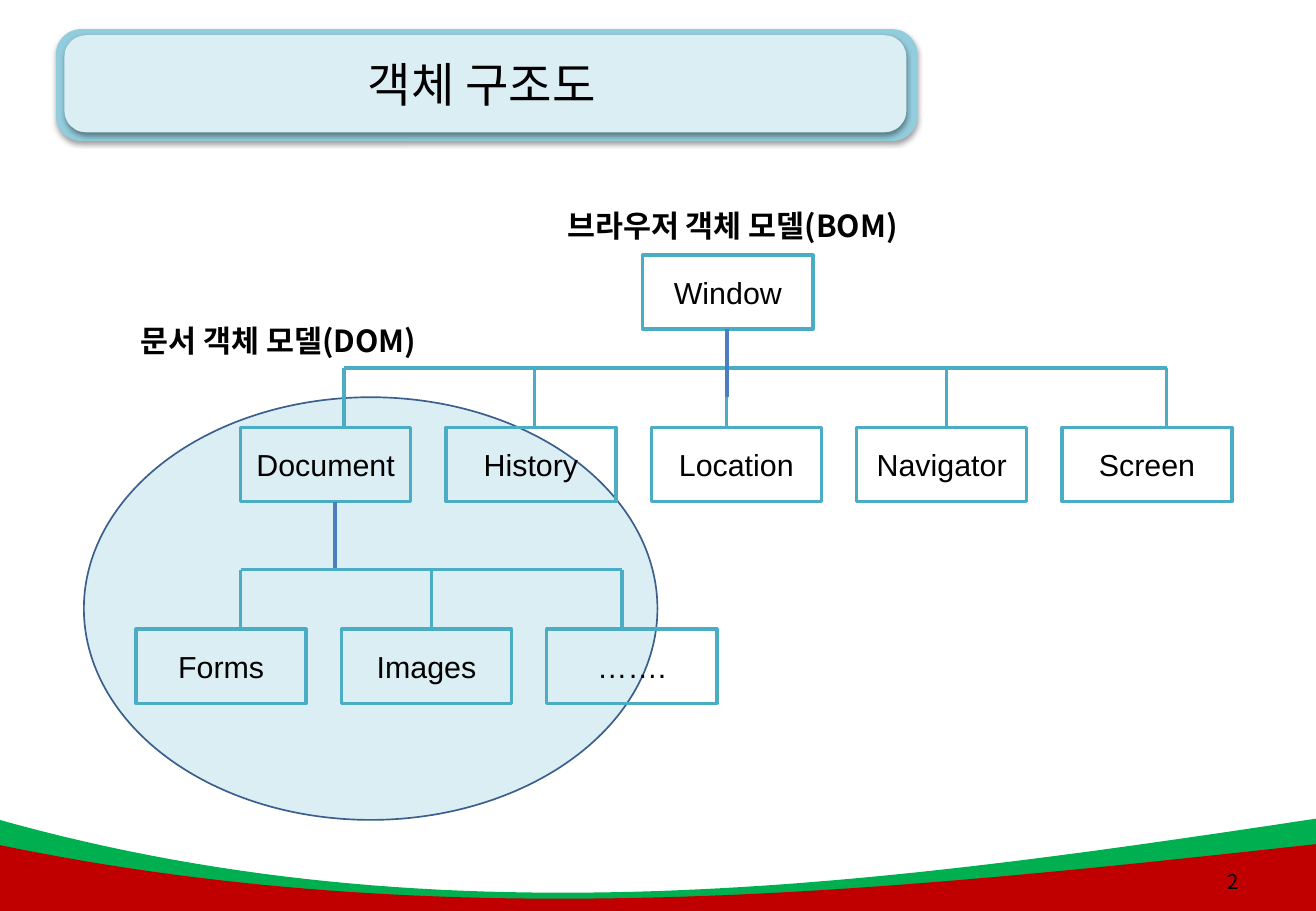
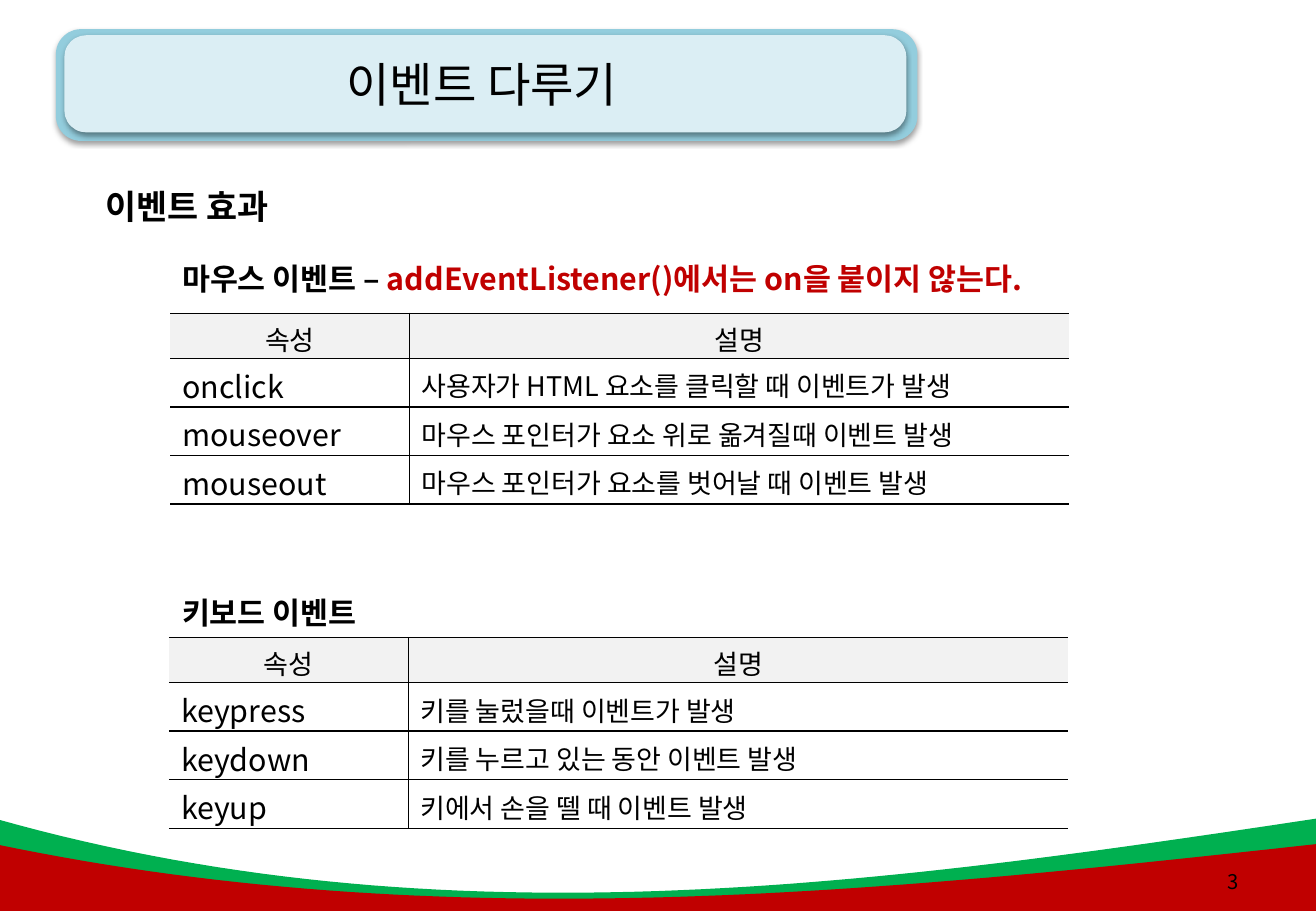
from lxml import etree
from pptx import Presentation
from pptx import util as u
from pptx.dml.color import RGBColor
from pptx.enum import shapes, text
from pptx.oxml import ns

SCALE = 9144
FONT = "Noto Sans CJK KR"
BLACK = RGBColor(0x00, 0x00, 0x00)
GREEN = RGBColor(0x00, 0xB0, 0x50)
RED = RGBColor(0xC0, 0x00, 0x00)
PLATE_RIM = RGBColor(0x93, 0xCD, 0xDD)
PALE = RGBColor(0xDB, 0xEE, 0xF4)
TEAL = RGBColor(0x4B, 0xAC, 0xC6)
BLUE = RGBColor(0x4B, 0x7E, 0xBC)
NAVY = RGBColor(0x3A, 0x5F, 0x8C)
HEADER_GRAY = RGBColor(0xF2, 0xF2, 0xF2)
LEFT, CENTER, RIGHT = text.PP_ALIGN.LEFT, text.PP_ALIGN.CENTER, text.PP_ALIGN.RIGHT
TOP, MIDDLE = text.MSO_ANCHOR.TOP, text.MSO_ANCHOR.MIDDLE


def px(*lengths):
    return [u.Emu(length * SCALE) for length in lengths]


def add_xml(parent, tag, **attributes):
    return etree.SubElement(parent, ns.qn(tag), attributes)


class Deck:
    """Holds the style and the current slide, with a method per kind of element."""

    def __init__(self):
        self.prs = Presentation()
        self.prs.slide_width, self.prs.slide_height = px(1083, 750)

    def start_slide(self, title, number):
        self.slide = self.prs.slides.add_slide(self.prs.slide_layouts[6])
        self.wave((674, 778, 729, 674), 750, GREEN)
        for place, fill in (((46, 24, 709, 92), PLATE_RIM), ((53, 29, 693, 80), PALE)):
            self.plate(place, fill)
        self.wave((695, 772, 735, 695), 751, RED)
        self.label((46, 22, 701, 94), [(title, BLACK)], 28, align=CENTER, anchor=MIDDLE)
        self.label((968, 706, 61, 40), [(str(number), BLACK)], 12, align=RIGHT, anchor=MIDDLE)

    def wave(self, heights, bottom, fill, steps=60):
        def bezier(controls, t):
            a, b, c, d = controls
            s = 1 - t
            value = a * s**3 + 3 * b * s * s * t + 3 * c * s * t * t + d * t**3
            return round(value * SCALE)

        edge = [(bezier((-4, 364, 719, 1083), i / steps), bezier(heights, i / steps))
                for i in range(steps + 1)]
        corners = [px(1083, bottom), px(-4, bottom)]
        builder = self.slide.shapes.build_freeform(*edge[0], scale=1.0)
        builder.add_line_segments(edge[1:] + corners, close=True)
        self.paint(builder.convert_to_shape(), fill)

    def paint(self, shape, fill=None, line=None, width=1):
        shape.shadow.inherit = False
        if fill is None:
            shape.fill.background()
        else:
            shape.fill.solid()
            shape.fill.fore_color.rgb = fill
        if line is None:
            shape.line.fill.background()
        else:
            shape.line.color.rgb = line
            shape.line.width = u.Pt(width)

    def plate(self, place, fill):
        plate = self.slide.shapes.add_shape(shapes.MSO_SHAPE.ROUNDED_RECTANGLE, *px(*place))
        plate.adjustments[0] = 0.225
        self.paint(plate, fill)
        effects = plate.element.spPr.find(ns.qn("a:effectLst"))
        shadow = add_xml(effects, "a:outerShdw", blurRad=str(u.Pt(3.1)),
                         dist=str(u.Pt(1.6)), dir="5400000", rotWithShape="0")
        color = add_xml(shadow, "a:srgbClr", val=str(BLACK))
        add_xml(color, "a:alpha", val="38000")

    def style(self, paragraph, size, bold=False, align=LEFT, face=FONT):
        paragraph.alignment = align
        font = paragraph.font
        font.size, font.bold, font.name = u.Pt(size), bold, face
        font.color.rgb = BLACK
        add_xml(paragraph.font._element, "a:ea", typeface=face)

    def label(self, place, runs, size, bold=False, align=LEFT, anchor=TOP, spacing=None):
        frame = self.slide.shapes.add_textbox(*px(*place)).text_frame
        frame.word_wrap, frame.vertical_anchor = True, anchor
        paragraph = frame.paragraphs[0]
        self.style(paragraph, size, bold, align)
        paragraph.line_spacing = spacing
        for words, color in runs:
            run = paragraph.add_run()
            run.text = words
            if color != BLACK:
                run.font.color.rgb = color

    def heading(self, place, *runs, size=18, spacing=1.5):
        self.label(place, runs, size, bold=True, spacing=spacing)

    def ellipse(self, place, fill, line):
        self.paint(self.slide.shapes.add_shape(shapes.MSO_SHAPE.OVAL, *px(*place)), fill, line)

    def node(self, left, top, name):
        node = self.slide.shapes.add_shape(shapes.MSO_SHAPE.RECTANGLE, *px(left, top, 140, 61))
        self.paint(node, line=TEAL, width=2)
        frame = node.text_frame
        frame.word_wrap, frame.vertical_anchor = True, MIDDLE
        frame.text = name
        self.style(frame.paragraphs[0], 18, align=CENTER, face="Arial")

    def node_row(self, left, top, names, pitch=169):
        for i, name in enumerate(names):
            self.node(left + i * pitch, top, name)

    def line(self, x1, y1, x2, y2, color=TEAL, width=2):
        line = self.slide.shapes.add_connector(
            shapes.MSO_CONNECTOR.STRAIGHT, *px(x1, y1, x2, y2))
        line.line.color.rgb = color
        line.line.width = u.Pt(width)
        add_xml(line.element.spPr, "a:effectLst")

    def branches(self, rail, drops, bottom):
        self.line(drops[0], rail, drops[-1], rail)
        for x in drops:
            self.line(x, rail, x, bottom)

    def border(self, cell, sides):
        properties = cell._tc.get_or_add_tcPr()
        for i, side in enumerate("LRTB"):
            edge = add_xml(properties, f"a:ln{side}", w=str(u.Pt(1)))
            properties.insert(i, edge)
            if side in sides:
                add_xml(add_xml(edge, "a:solidFill"), "a:srgbClr", val=str(BLACK))
            else:
                add_xml(edge, "a:noFill")

    def event_table(self, left, top, events):
        rows = [("속성", "설명")] + events
        table = self.slide.shapes.add_table(len(rows), 2, *px(left, top, 740, 157)).table
        table.horz_banding = False
        for column, width in zip(table.columns, px(197, 543)):
            column.width = width
        for r, words in enumerate(rows):
            header = r == 0
            table.rows[r].height = px(37 if header else 40)[0]
            for c, word in enumerate(words):
                cell = table.cell(r, c)
                cell.text = word
                cell.vertical_anchor = MIDDLE
                cell.margin_top, cell.margin_bottom = px(4, 0)
                size = 18 if c == 0 and not header else 16
                self.style(cell.text_frame.paragraphs[0], size, align=CENTER if header else LEFT)
                if header:
                    cell.fill.solid()
                    cell.fill.fore_color.rgb = HEADER_GRAY
                else:
                    cell.fill.background()
                self.border(cell, "RTB" if c == 0 else "LTB")


def object_structure(deck):
    deck.start_slide("객체 구조도", 2)
    deck.ellipse((69, 327, 472, 348), PALE, NAVY)
    deck.heading((457, 151, 330, 56), ("브라우저 객체 모델(BOM)", BLACK))
    deck.heading((106, 260, 264, 45), ("문서 객체 모델(DOM)", BLACK), spacing=None)
    deck.node(529, 210, "Window")
    deck.branches(303, (283, 440, 598, 779, 960), 352)
    deck.node_row(198, 352, ("Document", "History", "Location", "Navigator", "Screen"))
    deck.line(598, 271, 598, 327, BLUE, 2.25)
    deck.branches(469, (198, 355, 512), 518)
    deck.node_row(112, 518, ("Forms", "Images", "……."))
    deck.line(276, 413, 276, 468, BLUE, 2.25)


def event_handling(deck):
    deck.start_slide("이벤트 다루기", 3)
    deck.heading((77, 131, 898, 54), ("이벤트 효과", BLACK), size=20)
    deck.heading((140, 194, 772, 50), ("마우스 이벤트 – ", BLACK),
                 ("addEventListener()에서는 on을 붙이지 않는다.", RED))
    deck.event_table(140, 258, [
        ("onclick", "사용자가 HTML 요소를 클릭할 때 이벤트가 발생"),
        ("mouseover", "마우스 포인터가 요소 위로 옮겨질때 이벤트 발생"),
        ("mouseout", "마우스 포인터가 요소를 벗어날 때 이벤트 발생")])
    deck.heading((140, 469, 220, 50), ("키보드 이벤트", BLACK))
    deck.event_table(139, 525, [
        ("keypress", "키를 눌렀을때 이벤트가 발생"),
        ("keydown", "키를 누르고 있는 동안 이벤트 발생"),
        ("keyup", "키에서 손을 뗄 때 이벤트 발생")])


def main():
    deck = Deck()
    object_structure(deck)
    event_handling(deck)
    deck.prs.save("out.pptx")


if __name__ == "__main__":
    main()
